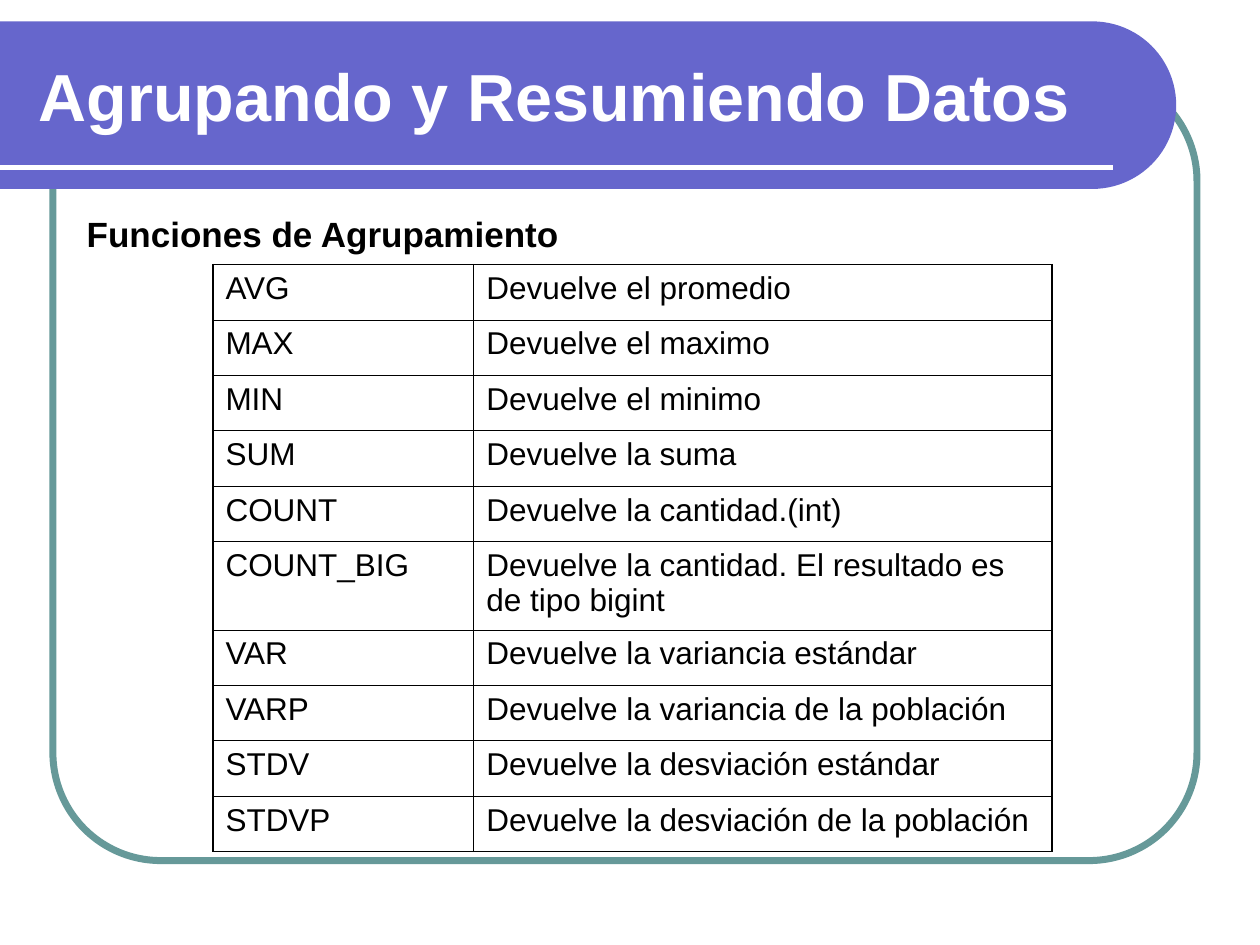
from math import cos, pi, sin

from lxml.etree import SubElement
from pptx import Presentation
from pptx.dml.color import RGBColor
from pptx.enum.shapes import MSO_CONNECTOR as CONNECTOR, MSO_SHAPE as SHAPE
from pptx.enum.text import MSO_ANCHOR as ANCHOR
from pptx.oxml import parse_xml
from pptx.oxml.ns import nsdecls, qn
from pptx.util import Inches, Pt

BLACK = RGBColor(0x00, 0x00, 0x00)
WHITE = RGBColor(0xFF, 0xFF, 0xFF)
TEAL = RGBColor(0x66, 0x99, 0x99)
VIOLET = RGBColor(0x66, 0x66, 0xCC)

TITLE = "Agrupando y Resumiendo Datos"
SUBTITLE = "Funciones de Agrupamiento"
FUNCTIONS = [
    ("AVG", "Devuelve el promedio"),
    ("MAX", "Devuelve el maximo"),
    ("MIN", "Devuelve el minimo"),
    ("SUM", "Devuelve la suma"),
    ("COUNT", "Devuelve la cantidad.(int)"),
    ("COUNT_BIG", "Devuelve la cantidad. El resultado es de tipo bigint"),
    ("VAR", "Devuelve la variancia estándar"),
    ("VARP", "Devuelve la variancia de la población"),
    ("STDV", "Devuelve la desviación estándar"),
    ("STDVP", "Devuelve la desviación de la población"),
]
COLUMN_WIDTHS = (2.07, 4.59)
ROW_HEIGHT, TALL_ROW_HEIGHT, TALL_ROW = 0.44, 0.7, "COUNT_BIG"
OUTER_BORDER, INNER_BORDER = 1.08, 0.45


def write(frame, text, size, color=BLACK, bold=False):
    para = frame.paragraphs[0]
    span = para.add_run()
    span.text = text
    formats = {"name": "Arial", "size": Pt(size), "bold": bold}
    for name, value in formats.items():
        setattr(span.font, name, value)
    span.font.color.rgb = color
    return para


def add_text_box(page, place, text, size, **style):
    frame = page.shapes.add_textbox(*map(Inches, place)).text_frame
    frame.word_wrap = True
    return frame, write(frame, text, size, **style)


def add_frame(page):
    frame = page.shapes.add_shape(
        SHAPE.ROUNDED_RECTANGLE, *map(Inches, (0.42, 0.58, 9.08, 6.25)))
    frame.adjustments[0] = 0.137
    frame.shadow.inherit = False
    frame.fill.background()
    frame.line.color.rgb = TEAL
    frame.line.width = Pt(4)


def add_banner(page):
    """Draw the title band, whose right end is a half circle, and its rule."""
    left, top, bottom, straight_end = 0, 0.17, 1.5, 8.67
    radius, steps = (bottom - top) / 2, 48
    angles = [pi * step / steps - pi / 2 for step in range(steps + 1)]
    arc = [(straight_end + radius * cos(angle), top + radius + radius * sin(angle))
           for angle in angles]
    builder = page.shapes.build_freeform(left, Inches(top))
    builder.add_line_segments(
        [(Inches(x), Inches(y)) for x, y in arc + [(left, bottom)]], close=True)
    banner = builder.convert_to_shape()
    banner.shadow.inherit = False
    banner.fill.solid()
    banner.fill.fore_color.rgb = VIOLET
    banner.line.fill.background()

    rule = page.shapes.add_connector(
        CONNECTOR.STRAIGHT, *map(Inches, (0, 1.33, 8.83, 1.33)))
    rule.line.color.rgb = WHITE
    rule.line.width = Pt(3)
    SubElement(rule._element.spPr, qn("a:effectLst"))


def set_borders(cell, widths):
    """Give the cell black borders; widths are left, right, top, bottom."""
    properties = cell._tc.get_or_add_tcPr()
    for index, (side, width) in enumerate(zip("LRTB", widths)):
        properties.insert(index, parse_xml(
            f'<a:ln{side} {nsdecls("a")} w="{Pt(width)}"><a:solidFill>'
            f'<a:srgbClr val="{BLACK}"/></a:solidFill></a:ln{side}>'))


def add_function_table(page):
    heights = [TALL_ROW_HEIGHT if name == TALL_ROW else ROW_HEIGHT
               for name, _ in FUNCTIONS]
    last_row, last_column = len(FUNCTIONS) - 1, len(COLUMN_WIDTHS) - 1
    table = page.shapes.add_table(
        len(FUNCTIONS), len(COLUMN_WIDTHS), Inches(1.69), Inches(2.1),
        Inches(sum(COLUMN_WIDTHS)), Inches(sum(heights))).table
    table.first_row = table.horz_banding = False
    for column, width in zip(table.columns, COLUMN_WIDTHS):
        column.width = Inches(width)
    for r, (texts, height) in enumerate(zip(FUNCTIONS, heights)):
        table.rows[r].height = Inches(height)
        for c, text in enumerate(texts):
            cell = table.cell(r, c)
            cell.fill.background()
            write(cell.text_frame, text, 18)
            on_edge = (c == 0, c == last_column, r == 0, r == last_row)
            set_borders(cell, [OUTER_BORDER if edge else INNER_BORDER
                               for edge in on_edge])


def main():
    deck = Presentation()
    deck.slide_width, deck.slide_height = Inches(10), Inches(7.5)
    page = deck.slides.add_slide(deck.slide_layouts[6])
    add_frame(page)
    add_banner(page)
    title, _ = add_text_box(
        page, (0.21, 0.25, 8.77, 1), TITLE, 38, color=WHITE, bold=True)
    title.vertical_anchor = ANCHOR.MIDDLE
    _, subtitle = add_text_box(
        page, (0.59, 1.7, 8.67, 0.4), SUBTITLE, 20, bold=True)
    subtitle.line_spacing = 0.8
    add_function_table(page)
    deck.save("out.pptx")


if __name__ == "__main__":
    main()
